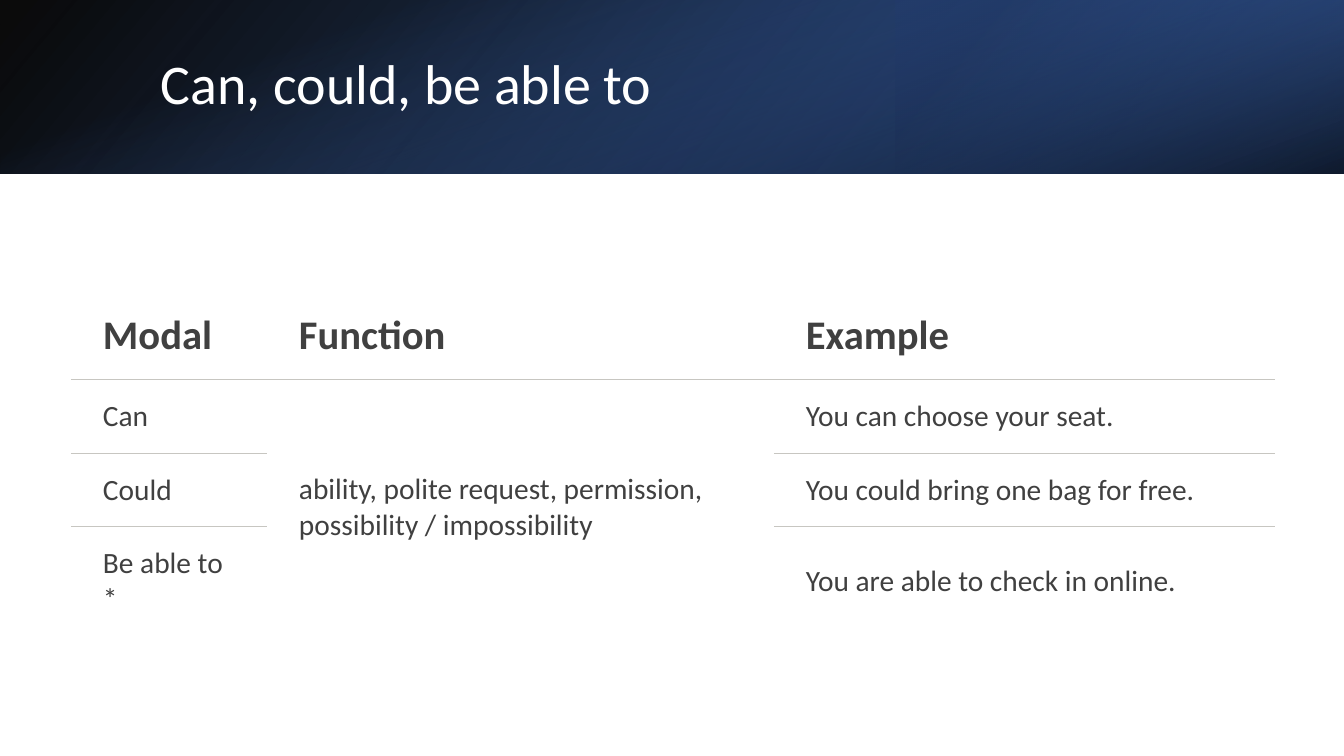
from lxml.etree import SubElement
from pptx import Presentation
from pptx.dml.color import RGBColor
from pptx.enum.shapes import MSO_SHAPE as Shape
from pptx.enum.text import MSO_ANCHOR as Anchor
from pptx.oxml.ns import qn
from pptx.util import Emu, Pt

COLORS = {
    "black": "000000", "white": "FFFFFF", "navy": "203864", "deep": "2F5597",
    "blue": "4472C4", "text": "404040", "rule": "C7C6C1",
}
FONT = "Calibri"
SLIDE_SIZE = (1344, 756)

TITLE = "Can, could, be able to"
TITLE_BOX = (151, 38, 1107, 97)

# box, rotation, flipped, clockwise gradient angle, stops (position %, color, opacity %)
BANNER_LAYERS = [
    ((0, 0, 1344, 174), 0, True, 140, [(0, "black", 96), (100, "deep", 100)]),
    ((896, 0, 448, 174), 180, True, 320, [(19, "navy", 68), (100, "blue", 79)]),
    ((585, -585, 174, 1344), 90, False, 340, [(23, "blue", 0), (99, "black", 74)]),
]

TABLE_ORIGIN = (71, 292)
COLUMN_WIDTHS = [196, 507, 501]
ROW_HEIGHTS = [87, 74, 74, 109]
CELL_INSETS = (32, 16, 24, 16)
MERGED_COLUMN = 1
ROWS = [
    ("Modal", "Function", "Example"),
    ("Can", "ability, polite request, permission, possibility / impossibility",
     "You can choose your seat."),
    ("Could", "", "You could bring one bag for free."),
    ("Be able to *", "", "You are able to check in online."),
]


def px(value):
    return Emu(round(value * 914400 / 100.8))


def style(paragraph, size, color, bold=False):
    font = paragraph.font
    font.name, font.size, font.bold = FONT, Pt(size), bold
    font.color.rgb = RGBColor.from_string(COLORS[color])


def add_banner_layer(slide, box, rotation, flipped, angle, stops):
    shape = slide.shapes.add_shape(Shape.RECTANGLE, *map(px, box))
    shape.shadow.inherit = False
    shape.line.fill.background()
    shape.rotation = rotation
    if flipped:
        shape.element.spPr.find(qn("a:xfrm")).set("flipH", "1")
    shape.fill.gradient()
    shape.fill.gradient_angle = 360 - angle
    for stop, (position, color, _) in zip(shape.fill.gradient_stops, stops):
        stop.position = position / 100
        stop.color.rgb = RGBColor.from_string(COLORS[color])
    for color_element, (_, _, opacity) in zip(shape.element.spPr.iter(qn("a:srgbClr")), stops):
        SubElement(color_element, qn("a:alpha"), val=str(opacity * 1000))


def add_title(slide):
    frame = slide.shapes.add_textbox(*map(px, TITLE_BOX)).text_frame
    frame.word_wrap = True
    frame.vertical_anchor = Anchor.MIDDLE
    paragraph = frame.paragraphs[0]
    paragraph.text = TITLE
    paragraph.line_spacing = 0.9
    style(paragraph, 40, "white")


def has_rule(boundary, column):
    """Tell whether a line runs above the row numbered boundary in this column."""
    inside_merge = column == MERGED_COLUMN and boundary > 1
    return 0 < boundary < len(ROWS) and not inside_merge


def set_borders(cell, row, column):
    properties = cell._tc.get_or_add_tcPr()
    visible = {"L": False, "R": False, "T": has_rule(row, column), "B": has_rule(row + 1, column)}
    for side, shown in visible.items():
        line = SubElement(properties, qn(f"a:ln{side}"), w=str(Pt(0.75)))
        if shown:
            fill = SubElement(line, qn("a:solidFill"))
            SubElement(fill, qn("a:srgbClr"), val=COLORS["rule"])
        else:
            SubElement(line, qn("a:noFill"))


def add_modal_table(slide):
    size = (sum(COLUMN_WIDTHS), sum(ROW_HEIGHTS))
    frame = slide.shapes.add_table(len(ROWS), len(COLUMN_WIDTHS), *map(px, TABLE_ORIGIN + size))
    table = frame.table
    table.first_row = table.horz_banding = False
    for column, width in zip(table.columns, COLUMN_WIDTHS):
        column.width = px(width)
    for row, height in zip(table.rows, ROW_HEIGHTS):
        row.height = px(height)
    table.cell(1, MERGED_COLUMN).merge(table.cell(len(ROWS) - 1, MERGED_COLUMN))

    for row, texts in enumerate(ROWS):
        for column, text in enumerate(texts):
            cell = table.cell(row, column)
            set_borders(cell, row, column)
            cell.fill.background()
            cell.vertical_anchor = Anchor.MIDDLE
            (cell.margin_left, cell.margin_top,
             cell.margin_right, cell.margin_bottom) = map(px, CELL_INSETS)
            cell.text = text
            is_header = row == 0
            style(cell.text_frame.paragraphs[0], 29 if is_header else 21, "text", is_header)


def main():
    presentation = Presentation()
    presentation.slide_width, presentation.slide_height = map(px, SLIDE_SIZE)
    slide = presentation.slides.add_slide(presentation.slide_layouts[6])
    for layer in BANNER_LAYERS:
        add_banner_layer(slide, *layer)
    add_title(slide)
    add_modal_table(slide)
    presentation.save("out.pptx")


if __name__ == "__main__":
    main()
